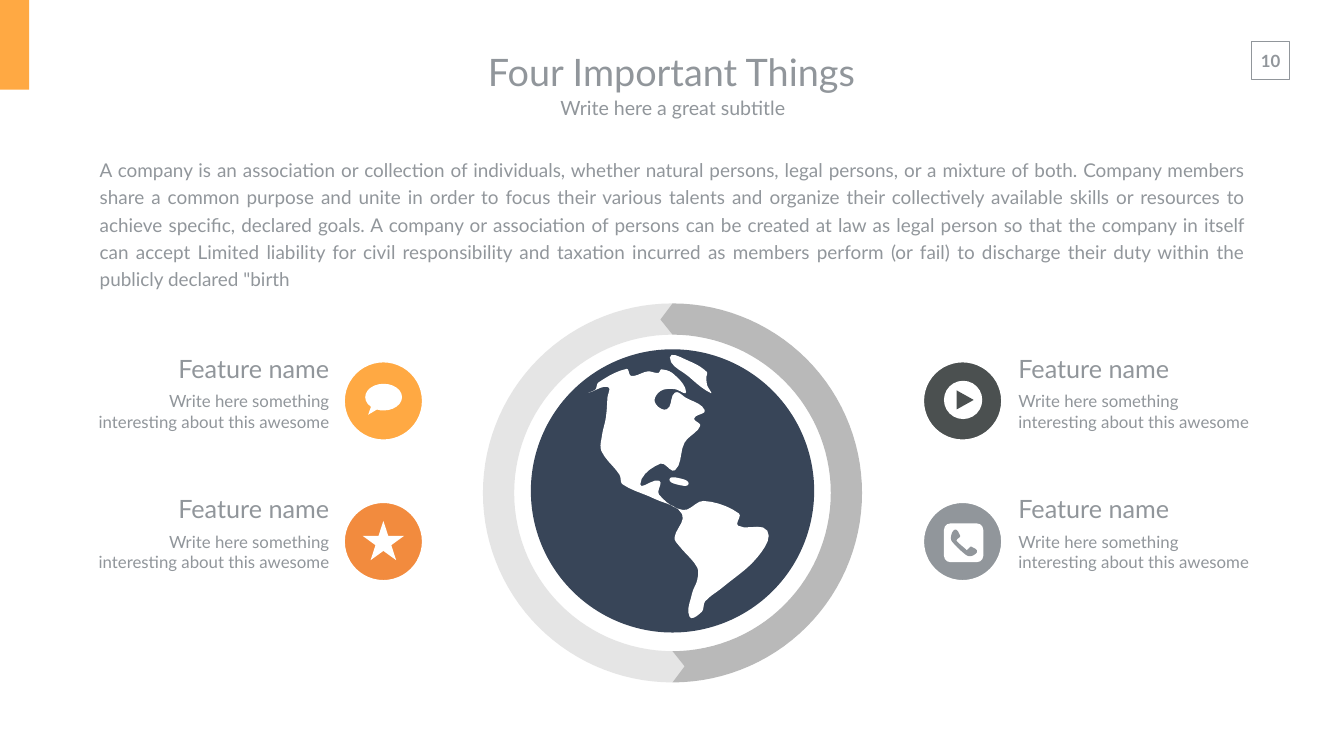
import math
from dataclasses import dataclass
from typing import Callable, Optional

import pptx
import pptx.dml.color
import pptx.enum.shapes
import pptx.enum.text
import pptx.util

Point = tuple[float, float]
SHAPE = pptx.enum.shapes.MSO_SHAPE
ALIGN = pptx.enum.text.PP_ALIGN
ANCHOR = pptx.enum.text.MSO_ANCHOR
INCH = pptx.util.Inches

WIDTH, HEIGHT = 26.66, 15
WHITE, GREY, AMBER, ORANGE, DARK = "FFFFFF", "91969B", "FFA943", "F28B3E", "4B5050"
NAVY, RING_LEFT, RING_RIGHT = "384558", "E5E5E5", "B9B9B9"
GLOBE: Point = (13.34, 9.78)
RING_OUTER, RING_INNER, GLOBE_RADIUS = 3.76, 3.14, 2.81
ROW_TOP, ROW_STEP, BADGE = 6.9, 2.79, 1.57

AMERICAS = [(14.64, 10.43), (14.66, 10.19), (13.96, 9.94), (13.55, 10.12), (13.07, 9.81),
            (13.08, 9.54), (12.7, 9.61), (13.1, 9.2), (13.39, 9.33), (13.58, 8.78),
            (13.89, 8.45), (13.77, 8.3), (13.98, 8.14), (13.6, 7.89), (13.39, 7.79),
            (13.23, 8.12), (12.99, 7.98), (13.1, 7.76), (13.38, 7.72), (13.61, 7.78),
            (13.36, 7.42), (13.12, 7.33), (13.06, 7.4), (12.85, 7.37), (12.52, 7.46),
            (12.43, 7.32), (11.87, 7.59), (11.81, 7.73), (11.68, 7.79), (12.06, 7.68),
            (12.05, 7.89), (12.02, 8.28), (11.94, 8.65), (11.93, 8.95), (12.29, 9.42),
            (12.35, 9.61), (12.99, 9.9), (13.53, 10.2), (13.38, 10.67), (13.48, 10.84),
            (13.83, 11.26), (13.83, 11.51), (13.73, 11.77), (13.68, 12.24), (13.92, 12.14),
            (13.99, 11.93), (14.34, 11.65), (15.03, 11.05), (15.22, 10.53)]
GREENLAND = [(14.02, 7.38), (13.68, 7.17), (13.29, 7.09), (13.66, 7.47), (14.1, 7.8),
             (14.03, 7.65), (14.01, 7.49)]
ISLAND = [(13.48, 9.49), (13.28, 9.51), (13.46, 9.62), (13.66, 9.6)]
# Handset outline, measured from the centre of its badge
HANDSET = [(0.28, 0.17), (0.19, 0.11), (0.16, 0.1), (0.08, 0.17), (0.06, 0.15), (-0.1, 0.01),
           (-0.12, -0.03), (-0.05, -0.1), (-0.06, -0.14), (-0.12, -0.23), (-0.18, -0.22),
           (-0.23, -0.1), (-0.21, 0), (0.06, 0.26), (0.16, 0.29), (0.27, 0.23)]

BODY = (
    "A company is an association or collection of individuals, whether natural persons, legal "
    "persons, or a mixture of both. Company members share a common purpose and unite in order to "
    "focus their various talents and organize their collectively available skills or resources to "
    "achieve specific, declared goals. A company or association of persons can be created at law "
    "as legal person so that the company in itself can accept Limited liability for civil "
    "responsibility and taxation incurred as members perform (or fail) to discharge their duty "
    'within the publicly declared "birth')


@dataclass(frozen=True)
class Box:
    x: float
    y: float
    w: float
    h: float


@dataclass(frozen=True)
class Column:
    badge_x: float
    name_x: float
    name_w: float
    note_x: float
    note_w: float
    align: ALIGN


@dataclass(frozen=True)
class Feature:
    column: Column
    row: int
    color: str
    icon: Callable


LEFT = Column(6.82, 2.54, 4.19, 1.67, 5.06, ALIGN.RIGHT)
RIGHT = Column(18.31, 20, 4.99, 20, 4.99, ALIGN.LEFT)


def rgb(value: str) -> pptx.dml.color.RGBColor:
    return pptx.dml.color.RGBColor.from_string(value)


def paint(sp, fill: Optional[str], line: Optional[str] = None, width: float = 1) -> None:
    sp.shadow.inherit = False
    if fill:
        sp.fill.solid()
        sp.fill.fore_color.rgb = rgb(fill)
    else:
        sp.fill.background()
    if line:
        sp.line.color.rgb = rgb(line)
        sp.line.width = pptx.util.Pt(width)
    else:
        sp.line.fill.background()


def add_preset(s, kind: SHAPE, box: Box, fill: Optional[str], line: Optional[str] = None,
               width: float = 1):
    sp = s.shapes.add_shape(kind, INCH(box.x), INCH(box.y), INCH(box.w), INCH(box.h))
    paint(sp, fill, line, width)
    return sp


def add_outline(s, contours: list[list[Point]], fill: str) -> None:
    scaled = [[(x * 1000, y * 1000) for x, y in c] for c in contours]
    builder = s.shapes.build_freeform(*scaled[0][0], scale=914.4)
    for i, contour in enumerate(scaled):
        if i:
            builder.move_to(*contour[0])
        builder.add_line_segments(contour[1:], close=True)
    paint(builder.convert_to_shape(), fill)


def add_text(s, box: Box, text: str, size: float, align: ALIGN = ALIGN.LEFT,
             inset: Point = (0.2, 0.1), anchor: ANCHOR = ANCHOR.TOP, bold: bool = False,
             wrap: bool = True, spacing: Optional[float] = None) -> None:
    tf = s.shapes.add_textbox(INCH(box.x), INCH(box.y), INCH(box.w), INCH(box.h)).text_frame
    tf.word_wrap = wrap
    tf.auto_size = pptx.enum.text.MSO_AUTO_SIZE.SHAPE_TO_FIT_TEXT
    tf.vertical_anchor = anchor
    tf.margin_left = tf.margin_right = INCH(inset[0])
    tf.margin_top = tf.margin_bottom = INCH(inset[1])
    p = tf.paragraphs[0]
    p.alignment = align
    if spacing:
        p.line_spacing = spacing
    r = p.add_run()
    r.text = text
    r.font.name, r.font.size, r.font.bold = "Lato", pptx.util.Pt(size), bold
    r.font.color.rgb = rgb(GREY)


def smooth(points: list[Point], steps: int = 5) -> list[Point]:
    """Round a closed outline with cubic curves through its points."""
    n, curve = len(points), []
    for i in range(n):
        a, b, c, d = (points[(i + k) % n] for k in (-1, 0, 1, 2))
        handle = math.dist(b, c) / 3
        before, after = (handle / (math.dist(p, q) or 1) for p, q in ((a, c), (b, d)))
        for t in (k / steps for k in range(steps)):
            u = 1 - t
            curve.append(tuple(
                u**3 * b[j] + 3 * u * u * t * (b[j] + (c[j] - a[j]) * before)
                + 3 * u * t * t * (c[j] - (d[j] - b[j]) * after) + t**3 * c[j]
                for j in (0, 1)))
    return curve


def half_ring(side: int) -> list[Point]:
    """Half of the ring, with an arrow tip and a notch: 1 is left, -1 is right."""
    turns = [math.pi * (0.5 + k / 60) for k in range(61)]
    outer, inner = ([(r * math.cos(a), -r * math.sin(a)) for a in turns]
                    for r in (RING_OUTER, RING_INNER))
    points = outer + [(0.24, 3.44)] + inner[::-1] + [(-0.24, -3.44)]
    return [(GLOBE[0] + side * x, GLOBE[1] + side * y) for x, y in points]


def draw_bubble(s, x: float, y: float, color: str) -> None:
    sp = add_preset(s, SHAPE.OVAL_CALLOUT, Box(x - 0.36, y - 0.34, 0.73, 0.53), WHITE)
    sp.adjustments[0], sp.adjustments[1] = -0.42, 0.66


def draw_star(s, x: float, y: float, color: str) -> None:
    add_preset(s, SHAPE.STAR_5_POINT, Box(x - 0.41, y - 0.41, 0.82, 0.78), WHITE)


def draw_play(s, x: float, y: float, color: str) -> None:
    add_preset(s, SHAPE.OVAL, Box(x - 0.37, y - 0.4, 0.76, 0.76), WHITE)
    add_outline(s, [[(x - 0.12, y - 0.21), (x + 0.22, y - 0.02), (x - 0.12, y + 0.17)]], color)


def draw_phone(s, x: float, y: float, color: str) -> None:
    add_preset(s, SHAPE.ROUNDED_RECTANGLE, Box(x - 0.37, y - 0.36, 0.78, 0.77), WHITE)
    add_outline(s, [smooth([(x + dx, y + dy) for dx, dy in HANDSET])], color)


def draw_feature(s, f: Feature) -> None:
    col, top = f.column, ROW_TOP + f.row * ROW_STEP
    badge = Box(col.badge_x, top + 0.27, BADGE, BADGE)
    add_preset(s, SHAPE.OVAL, badge, f.color, WHITE, 3)
    f.icon(s, badge.x + BADGE / 2, badge.y + BADGE / 2, f.color)
    add_text(s, Box(col.name_x, top, col.name_w, 0.81), "Feature name", 36, col.align)
    add_text(s, Box(col.note_x, top + 0.76, col.note_w, 1.01),
             "Write here something interesting about this awesome", 24, col.align)


def draw_globe(s) -> None:
    add_outline(s, [half_ring(1)], RING_LEFT)
    add_outline(s, [half_ring(-1)], RING_RIGHT)
    d = 2 * GLOBE_RADIUS
    add_preset(s, SHAPE.OVAL, Box(GLOBE[0] - d / 2, 6.93, d, d), NAVY)
    add_outline(s, [smooth(land) for land in (AMERICAS, GREENLAND, ISLAND)], WHITE)


def main() -> None:
    prs = pptx.Presentation()
    prs.slide_width, prs.slide_height = INCH(WIDTH), INCH(HEIGHT)
    s = prs.slides.add_slide(prs.slide_layouts[6])
    add_text(s, Box(24.8, 0.9, 0.81, 0.61), "10", 24, ALIGN.CENTER, bold=True, wrap=False)
    add_preset(s, SHAPE.RECTANGLE, Box(24.83, 0.82, 0.75, 0.75), None, GREY)
    add_preset(s, SHAPE.RECTANGLE, Box(0, 0, 0.58, 1.78), AMBER)
    add_text(s, Box(1.88, 3.01, 22.9, 2.27), BODY, 27, ALIGN.JUSTIFY, (0.1, 0.05), spacing=1.2)
    for f in (Feature(RIGHT, 0, DARK, draw_play), Feature(RIGHT, 1, GREY, draw_phone),
              Feature(LEFT, 0, AMBER, draw_bubble), Feature(LEFT, 1, ORANGE, draw_star)):
        draw_feature(s, f)
    for box, text, size in ((Box(5.76, 0.83, 15.12, 1.18), "Four Important Things", 54),
                            (Box(8.18, 1.76, 10.33, 0.74), "Write here a great subtitle", 28)):
        add_text(s, box, text, size, ALIGN.CENTER, (0.27, 0.13), ANCHOR.MIDDLE)
    draw_globe(s)
    prs.save("out.pptx")


if __name__ == "__main__":
    main()
